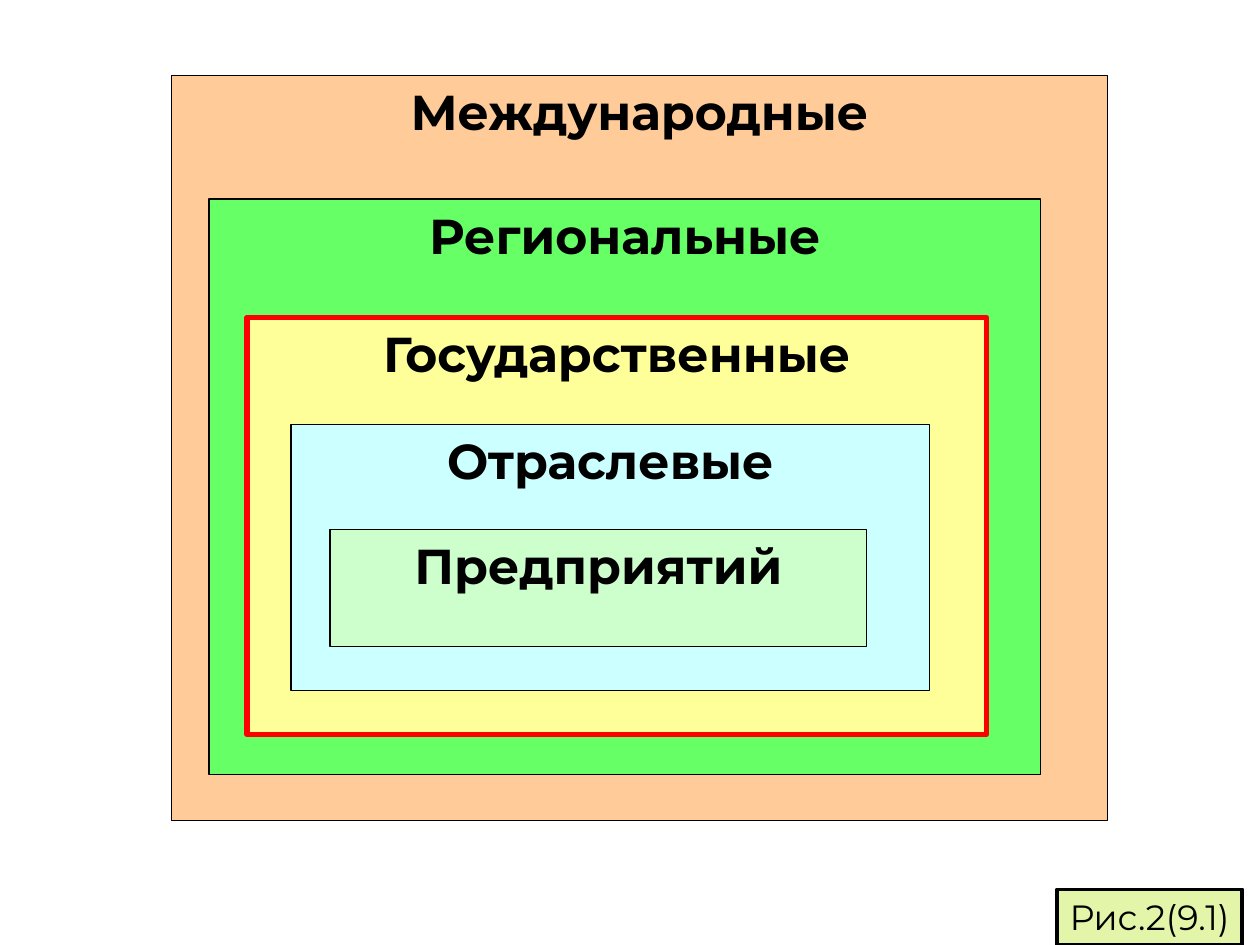
from pptx import Presentation
from pptx.dml.color import RGBColor
from pptx.enum import shapes, text
from pptx.util import Pt

BLACK = "000000"


def color(value):
    return RGBColor.from_string(value)


def add_box(parent, bounds, label, fill, line, line_width, size, bold, alignment):
    """Add an outlined rectangle with one line of text at its top."""
    shape = parent.add_shape(shapes.MSO_SHAPE.RECTANGLE, *[Pt(length) for length in bounds])
    shape.shadow.inherit = False
    shape.fill.solid()
    shape.fill.fore_color.rgb = color(fill)
    shape.line.color.rgb = color(line)
    shape.line.width = Pt(line_width)
    frame = shape.text_frame
    frame.text = label
    frame.vertical_anchor = text.MSO_ANCHOR.TOP
    paragraph = frame.paragraphs[0]
    paragraph.alignment = alignment
    font = paragraph.runs[0].font
    font.name = "Montserrat"
    font.size = Pt(size)
    font.bold = bold
    font.color.rgb = color(BLACK)
    return shape


presentation = Presentation()
presentation.slide_width = Pt(720)
presentation.slide_height = Pt(540)
slide = presentation.slides.add_slide(presentation.slide_layouts[6])

# Nested levels, outermost first: label, bounds, fill, line colour, line width
levels = [
    ("Международные", (97.9, 43.2, 535, 425.5), "FFCC99", BLACK, 0.75),
    ("Региональные", (119.5, 113.8, 475.2, 329), "66FF66", BLACK, 0.75),
    ("Государственные", (141.1, 181.4, 422.6, 238.3), "FFFF99", "FF0000", 3),
    ("Отраслевые", (166.3, 242.6, 365, 151.9), "CCFFFF", BLACK, 0.75),
    ("Предприятий", (188.6, 302.4, 306.7, 67), "CCFFCC", BLACK, 0.75),
]
group = slide.shapes.add_group_shape()
for label, bounds, fill, line, line_width in levels:
    add_box(group.shapes, bounds, label, fill, line, line_width, 28, True, text.PP_ALIGN.CENTER)

caption = add_box(slide.shapes, (604.1, 508.3, 105.8, 31.7), "Рис.2(9.1)", "E3F5A9",
                  BLACK, 2.25, 20, False, text.PP_ALIGN.LEFT)
caption.text_frame.word_wrap = False
caption.text_frame.auto_size = text.MSO_AUTO_SIZE.SHAPE_TO_FIT_TEXT

presentation.save("out.pptx")
